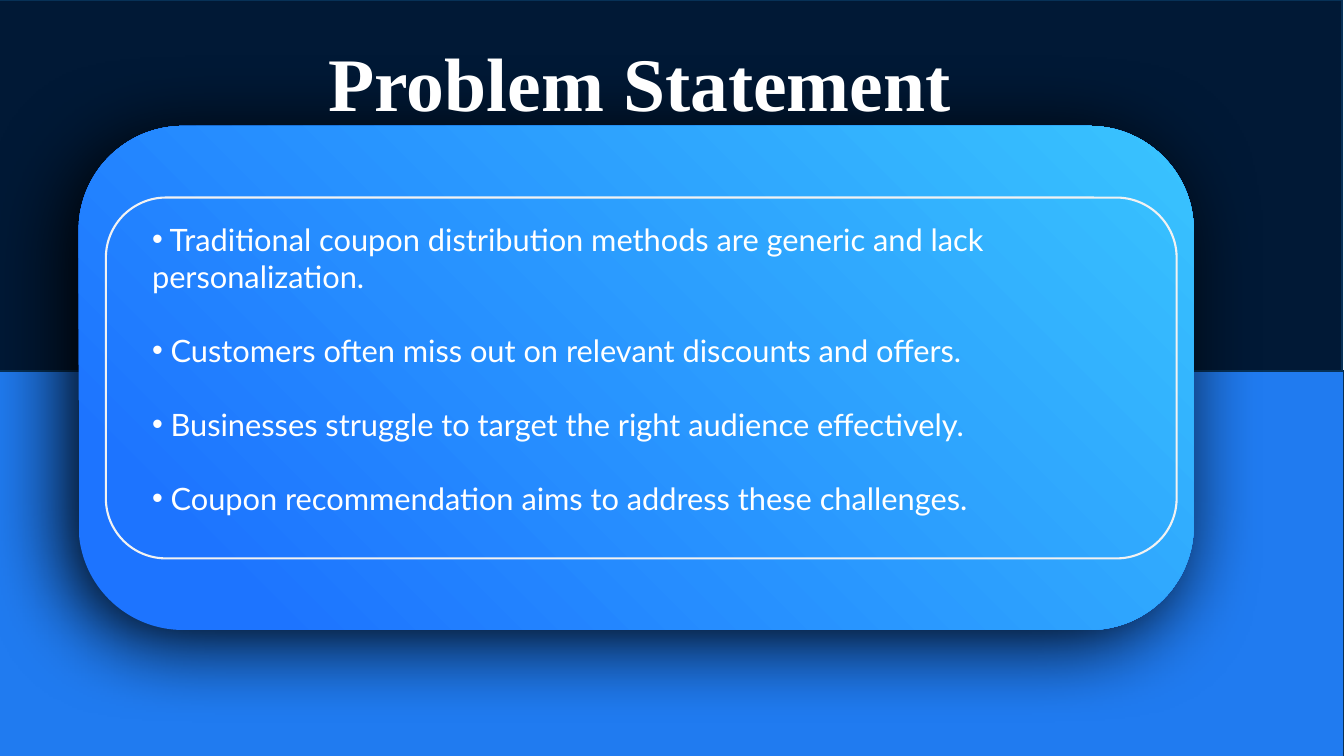
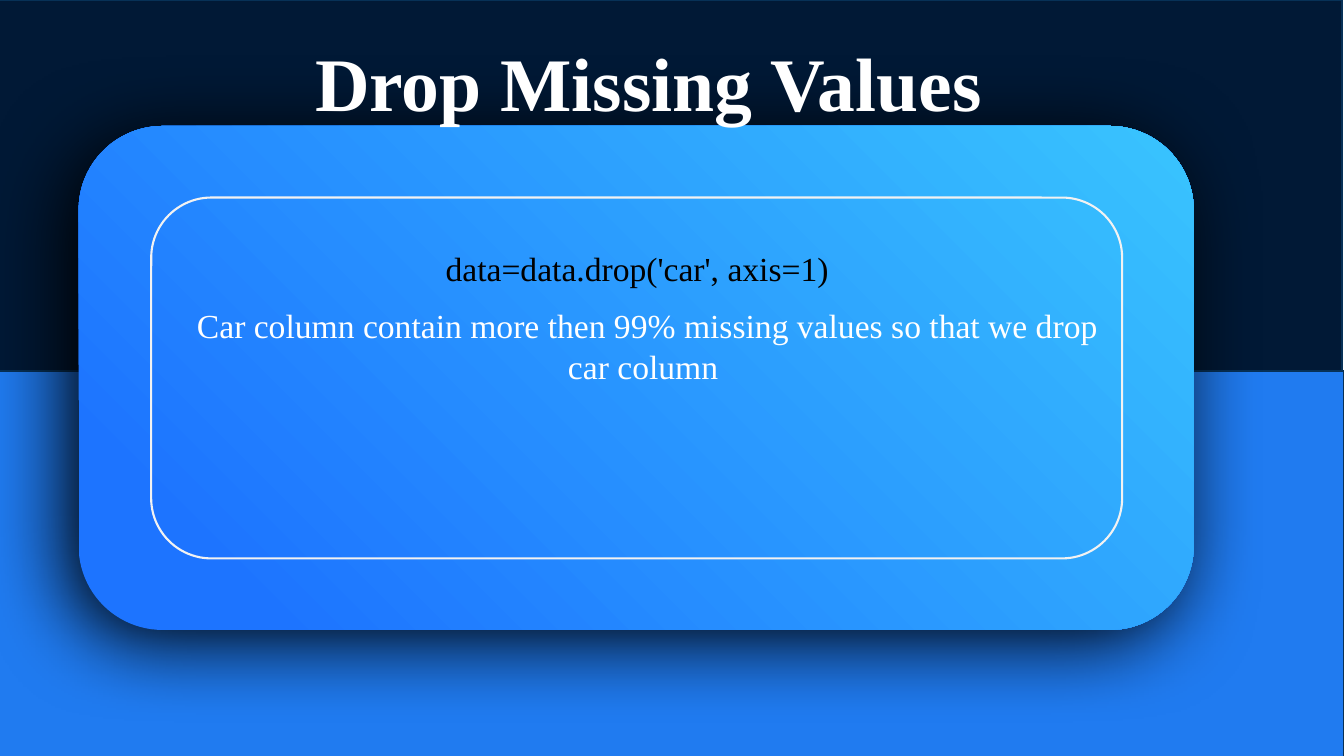
from lxml.etree import SubElement
from pptx import Presentation
from pptx.dml.color import RGBColor
from pptx.enum.shapes import MSO_SHAPE
from pptx.enum.text import PP_ALIGN
from pptx.oxml.ns import qn
from pptx.util import Inches, Pt

COLORS = {
    "navy": "011936",
    "blue": "207BF0",
    "edge": "073157",
    "card_start": "1D74FF",
    "card_end": "39C4FE",
    "frame": "F2F2F2",
    "white": "FFFFFF",
    "black": "000000",
}

BANDS = [
    ("navy", (-0.02, 0, 13.33, 3.83)),
    ("blue", (-0.04, 3.68, 13.37, 3.83)),
]
CARD = (0.78, 1.25, 11.06, 5)
CARD_STOPS = [(0.12, "card_start"), (1, "card_end")]
SHADOW = {"blurRad": Pt(60), "dist": Pt(12), "dir": 135 * 60000, "algn": "tr", "rotWithShape": 0}

TITLE = {"name": "Times New Roman", "size": Pt(54), "bold": True}
BULLET = {"name": "Lato", "size": Pt(22)}
BODY = {"name": "Times New Roman", "size": Pt(24)}
BULLET_GAP = Pt(26.4)

SLIDES = [
    {
        "card_corner": 0.207,
        "frame": (1.05, 1.96, 10.62, 3.58),
        "texts": [
            ((1.3, 0.31, 10.09, 1.01), TITLE, "white", ["Problem Statement"]),
            ((1.41, 2.14, 10.26, 3.06), BULLET, "white", [
                " Traditional coupon distribution methods are generic and lack personalization.",
                " Customers often miss out on relevant discounts and offers.",
                " Businesses struggle to target the right audience effectively.",
                " Coupon recommendation aims to address these challenges.",
            ]),
        ],
    },
    {
        "card_corner": 0.1667,
        "frame": (1.5, 1.96, 9.63, 3.58),
        "texts": [
            ((2, 0.31, 9.05, 1.01), TITLE, "white", ["Drop Missing Values "]),
            ((1.58, 2.41, 9.48, 0.5), BODY, "black", ["data=data.drop('car', axis=1)"]),
            ((1.68, 2.98, 9.48, 0.91), BODY, "white", [
                "Car column contain more then 99% missing values so that we drop car column ",
            ]),
        ],
    },
]


def color(name):
    return RGBColor.from_string(COLORS[name])


def inches(place):
    return [Inches(length) for length in place]


def add_box(page, kind, place, line=None, width=1):
    box = page.shapes.add_shape(kind, *inches(place))
    box.shadow.inherit = False
    if line:
        box.line.color.rgb = color(line)
        box.line.width = Pt(width)
    else:
        box.line.fill.background()
    return box


def add_bands(page):
    for fill, place in BANDS:
        band = add_box(page, MSO_SHAPE.RECTANGLE, place, "edge")
        band.fill.solid()
        band.fill.fore_color.rgb = color(fill)


def add_card(page, corner):
    card = add_box(page, MSO_SHAPE.ROUNDED_RECTANGLE, CARD)
    card.adjustments[0] = corner
    card.fill.gradient()
    card.fill.gradient_angle = 45
    for stop, (position, name) in zip(card.fill.gradient_stops, CARD_STOPS):
        stop.position = position
        stop.color.rgb = color(name)
    effects = card._element.spPr.find(qn("a:effectLst"))
    shadow = SubElement(effects, qn("a:outerShdw"))
    for key, value in SHADOW.items():
        shadow.set(key, str(value))
    SubElement(shadow, qn("a:srgbClr")).set("val", COLORS["black"])


def add_frame(page, place):
    frame = add_box(page, MSO_SHAPE.ROUNDED_RECTANGLE, place, "frame", 1.5)
    frame.fill.background()


def add_bullet(para):
    properties = para._p.get_or_add_pPr()
    SubElement(properties, qn("a:buFont")).set("typeface", "Arial")
    SubElement(properties, qn("a:buChar")).set("char", "•")


def add_text(page, place, style, ink, lines):
    frame = page.shapes.add_textbox(*inches(place)).text_frame
    frame.word_wrap = True
    for index, line in enumerate(lines):
        para = frame.paragraphs[0] if index == 0 else frame.add_paragraph()
        if style is BULLET:
            para.space_before = BULLET_GAP if index else Pt(0)
            add_bullet(para)
        else:
            para.alignment = PP_ALIGN.CENTER
        span = para.add_run()
        span.text = line
        for key, value in style.items():
            setattr(span.font, key, value)
        span.font.color.rgb = color(ink)


def main():
    deck = Presentation()
    deck.slide_width, deck.slide_height = Inches(13.33), Inches(7.5)
    for content in SLIDES:
        page = deck.slides.add_slide(deck.slide_layouts[6])
        add_bands(page)
        add_card(page, content["card_corner"])
        add_frame(page, content["frame"])
        for text in content["texts"]:
            add_text(page, *text)
    deck.save("out.pptx")


if __name__ == "__main__":
    main()
